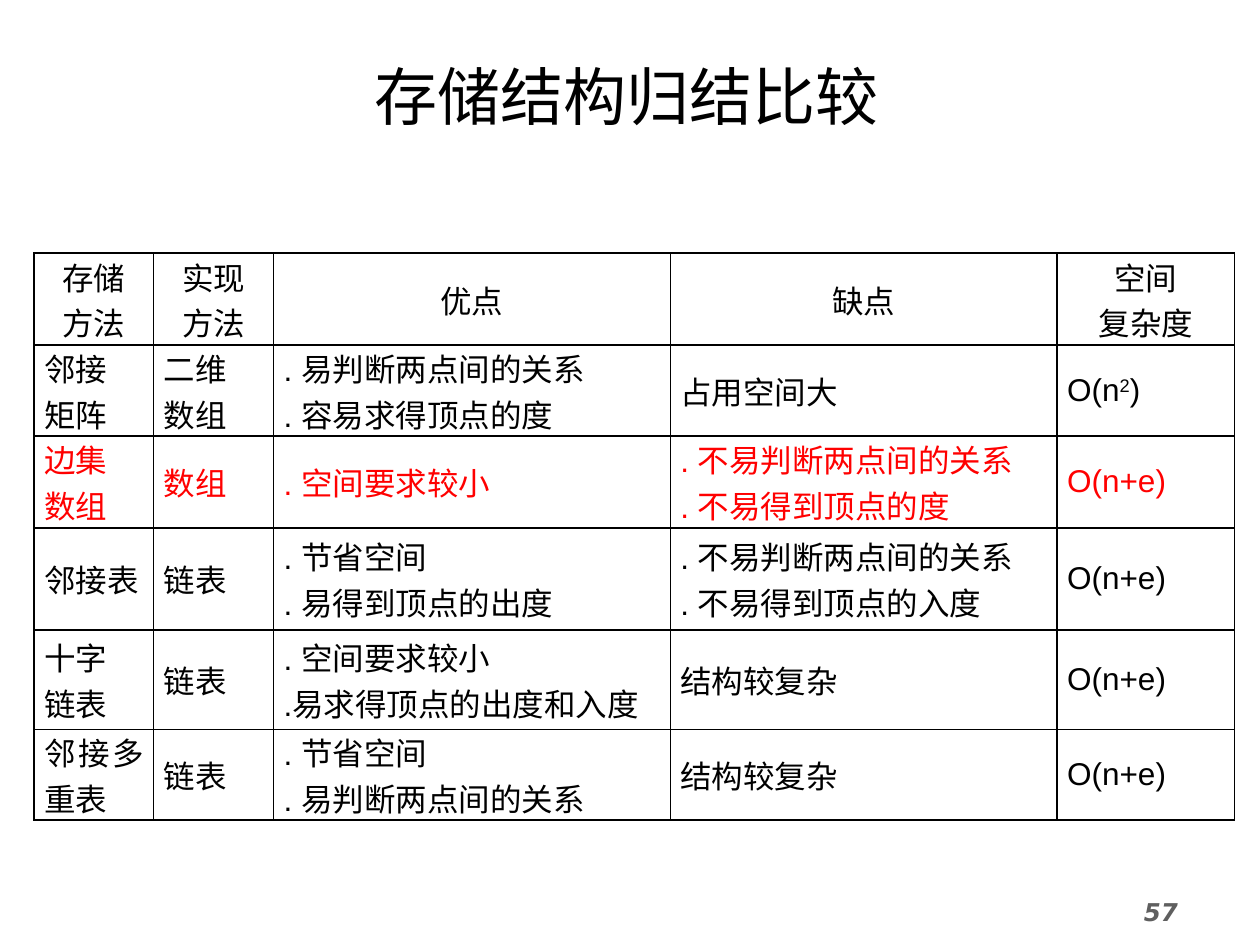
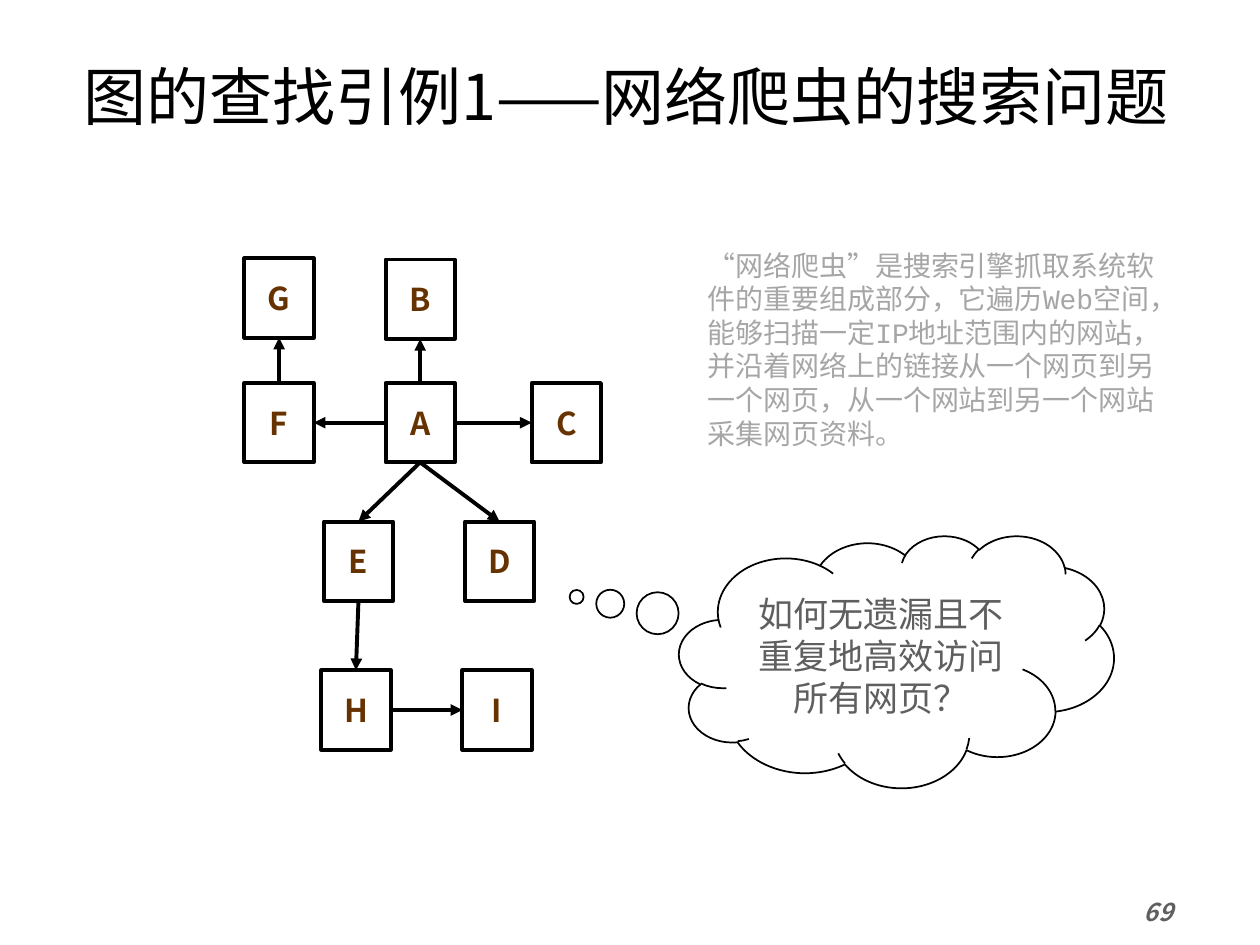
from lxml.etree import SubElement
from pptx import Presentation
from pptx.dml.color import RGBColor
from pptx.enum.shapes import MSO_CONNECTOR, MSO_SHAPE
from pptx.enum.text import MSO_ANCHOR, MSO_AUTO_SIZE, PP_ALIGN
from pptx.oxml import parse_xml
from pptx.oxml.ns import nsdecls, qn
from pptx.util import Inches, Pt

BLACK = RGBColor(0x00, 0x00, 0x00)
WHITE = RGBColor(0xFF, 0xFF, 0xFF)
RED = RGBColor(0xFF, 0x00, 0x00)
BROWN = RGBColor(0x66, 0x33, 0x00)
DARK_GRAY = RGBColor(0x5F, 0x5F, 0x5F)
LIGHT_GRAY = RGBColor(0xA6, 0xA6, 0xA6)
CJK = "Noto Sans CJK SC"
TITLE_FONT = "Noto Sans CJK JP"


def style_run(run, size, color, latin=CJK, east_asian=CJK, bold=False, italic=False):
    font = run.font
    font.size = Pt(size)
    font.color.rgb = color
    font.bold = bold
    font.italic = italic
    font.name = latin
    SubElement(run._r.get_or_add_rPr(), qn("a:ea")).set("typeface", east_asian)


def add_titled_slide(title_text, left, width, number, number_font):
    slide = prs.slides.add_slide(prs.slide_layouts[5])
    title = slide.shapes.title
    title.left, title.top = Inches(left), Inches(0.4)
    title.width, title.height = Inches(width), Inches(0.71)
    frame = title.text_frame
    frame.text = title_text
    frame.auto_size = MSO_AUTO_SIZE.NONE
    frame.vertical_anchor = MSO_ANCHOR.MIDDLE
    frame.paragraphs[0].alignment = PP_ALIGN.CENTER
    style_run(frame.paragraphs[0].runs[0], 36, BLACK, TITLE_FONT, TITLE_FONT)

    page = slide.shapes.add_textbox(Inches(8.98), Inches(7.07), Inches(1.02), Inches(0.43))
    page.text_frame.text = number
    style_run(page.text_frame.paragraphs[0].runs[0], 14, DARK_GRAY, number_font,
              bold=True, italic=True)
    return slide


prs = Presentation()
prs.slide_width, prs.slide_height = Inches(10), Inches(7.5)

# Comparison of storage structures; ^ encloses a superscript
slide = add_titled_slide("存储结构归结比较", 1.39, 7.17, "57", "DejaVu Sans")
comparison = [
    ["存储\n方法", "实现\n方法", "优点", "缺点", "空间\n复杂度"],
    ["邻接\n矩阵", "二维\n数组", ". 易判断两点间的关系\n. 容易求得顶点的度",
     "占用空间大", "O(n^2^)"],
    ["边集\n数组", "数组", ". 空间要求较小",
     ". 不易判断两点间的关系\n. 不易得到顶点的度", "O(n+e)"],
    ["邻接表", "链表", ". 节省空间\n. 易得到顶点的出度",
     ". 不易判断两点间的关系\n. 不易得到顶点的入度", "O(n+e)"],
    ["十字\n链表", "链表", ". 空间要求较小\n.易求得顶点的出度和入度",
     "结构较复杂", "O(n+e)"],
    ["邻接多重表", "链表", ". 节省空间\n. 易判断两点间的关系",
     "结构较复杂", "O(n+e)"],
]
HIGHLIGHTED_ROW = 2
column_widths = [0.95, 0.95, 3.15, 3.07, 1.41]
row_heights = [0.73, 0.72, 0.73, 0.81, 0.79, 0.72]

table = slide.shapes.add_table(len(row_heights), len(column_widths), Inches(0.27), Inches(2.01),
                               Inches(sum(column_widths)), Inches(sum(row_heights))).table
table.first_row = False
table.horz_banding = False
for column, width in zip(table.columns, column_widths):
    column.width = Inches(width)
for row, height in zip(table.rows, row_heights):
    row.height = Inches(height)

for r, entries in enumerate(comparison):
    for c, entry in enumerate(entries):
        cell = table.cell(r, c)
        cell.margin_left = cell.margin_right = Inches(0.08)
        cell.margin_top = cell.margin_bottom = 0
        cell.vertical_anchor = MSO_ANCHOR.MIDDLE
        for edge in ("lnL", "lnR", "lnT", "lnB"):
            cell._tc.get_or_add_tcPr().append(parse_xml(
                f'<a:{edge} {nsdecls("a")} w="12700"><a:solidFill>'
                f'<a:srgbClr val="{BLACK}"/></a:solidFill></a:{edge}>'))
        cell.fill.background()
        for i, line in enumerate(entry.split("\n")):
            paragraph = cell.text_frame.add_paragraph() if i else cell.text_frame.paragraphs[0]
            paragraph.alignment = PP_ALIGN.JUSTIFY if r else PP_ALIGN.CENTER
            for k, piece in enumerate(line.split("^")):
                run = paragraph.add_run()
                run.text = piece
                style_run(run, 18, RED if r == HIGHLIGHTED_ROW else BLACK, "Arial")
                if k == 1:
                    run._r.get_or_add_rPr().set("baseline", "30000")

# Web crawler search problem
slide = add_titled_slide("图的查找引例1——网络爬虫的搜索问题", 0.2, 9.54, "69", CJK)
page_positions = {
    "G": (1.94, 2.05), "B": (3.06, 2.06),
    "F": (1.94, 3.04), "A": (3.06, 3.04), "C": (4.22, 3.04),
    "E": (2.57, 4.14), "D": (3.69, 4.14),
    "H": (2.55, 5.32), "I": (3.67, 5.32),
}
web_pages = {}
for letter, (left, top) in page_positions.items():
    web_page = slide.shapes.add_shape(MSO_SHAPE.RECTANGLE, Inches(left), Inches(top),
                                      Inches(0.55), Inches(0.63))
    web_page.shadow.inherit = False
    web_page.fill.background()
    web_page.line.color.rgb = BLACK
    web_page.line.width = Pt(2.25)
    frame = web_page.text_frame
    frame.text = letter
    frame.word_wrap = False
    frame.vertical_anchor = MSO_ANCHOR.MIDDLE
    frame.paragraphs[0].alignment = PP_ALIGN.CENTER
    style_run(frame.paragraphs[0].runs[0], 18, BROWN, bold=True)
    web_pages[letter] = web_page

TOP, LEFT, BOTTOM, RIGHT = range(4)
hyperlinks = [
    ("F", TOP, "G", BOTTOM), ("A", TOP, "B", BOTTOM),
    ("E", BOTTOM, "H", TOP), ("H", RIGHT, "I", LEFT),
    ("A", BOTTOM, "D", TOP), ("A", BOTTOM, "E", TOP),
    ("A", LEFT, "F", RIGHT), ("A", RIGHT, "C", LEFT),
]
for source, source_side, target, target_side in hyperlinks:
    arrow = slide.shapes.add_connector(MSO_CONNECTOR.STRAIGHT, 0, 0, 0, 0)
    arrow.begin_connect(web_pages[source], source_side)
    arrow.end_connect(web_pages[target], target_side)
    arrow.line.color.rgb = BLACK
    arrow.line.width = Pt(2.25)
    SubElement(arrow.line._get_or_add_ln(), qn("a:tailEnd")).set("type", "triangle")
    SubElement(arrow._element.spPr, qn("a:effectLst"))

question = slide.shapes.add_shape(MSO_SHAPE.CLOUD_CALLOUT, Inches(5.39), Inches(4.25),
                                  Inches(3.45), Inches(2))
question.adjustments[0] = -0.736
question.adjustments[1] = -0.256
question.shadow.inherit = False
question.fill.solid()
question.fill.fore_color.rgb = WHITE
question.line.color.rgb = BLACK
question.line.width = Pt(1)
frame = question.text_frame
frame.text = "如何无遗漏且不重复地高效访问所有网页？"
frame.word_wrap = True
frame.vertical_anchor = MSO_ANCHOR.MIDDLE
frame.paragraphs[0].alignment = PP_ALIGN.CENTER
style_run(frame.paragraphs[0].runs[0], 20, DARK_GRAY)

definition = slide.shapes.add_textbox(Inches(5.52), Inches(1.92), Inches(3.76), Inches(1.72))
frame = definition.text_frame
frame.word_wrap = True
frame.text = ("“网络爬虫”是捜索引擎抓取系统软件的重要组成部分，它遍历Web空间，"
              "能够扫描一定IP地址范围内的网站，并沿着网络上的链接从一个网页到另一个网页，"
              "从一个网站到另一个网站采集网页资料。")
style_run(frame.paragraphs[0].runs[0], 16, LIGHT_GRAY, "Courier New")

prs.save("out.pptx")
